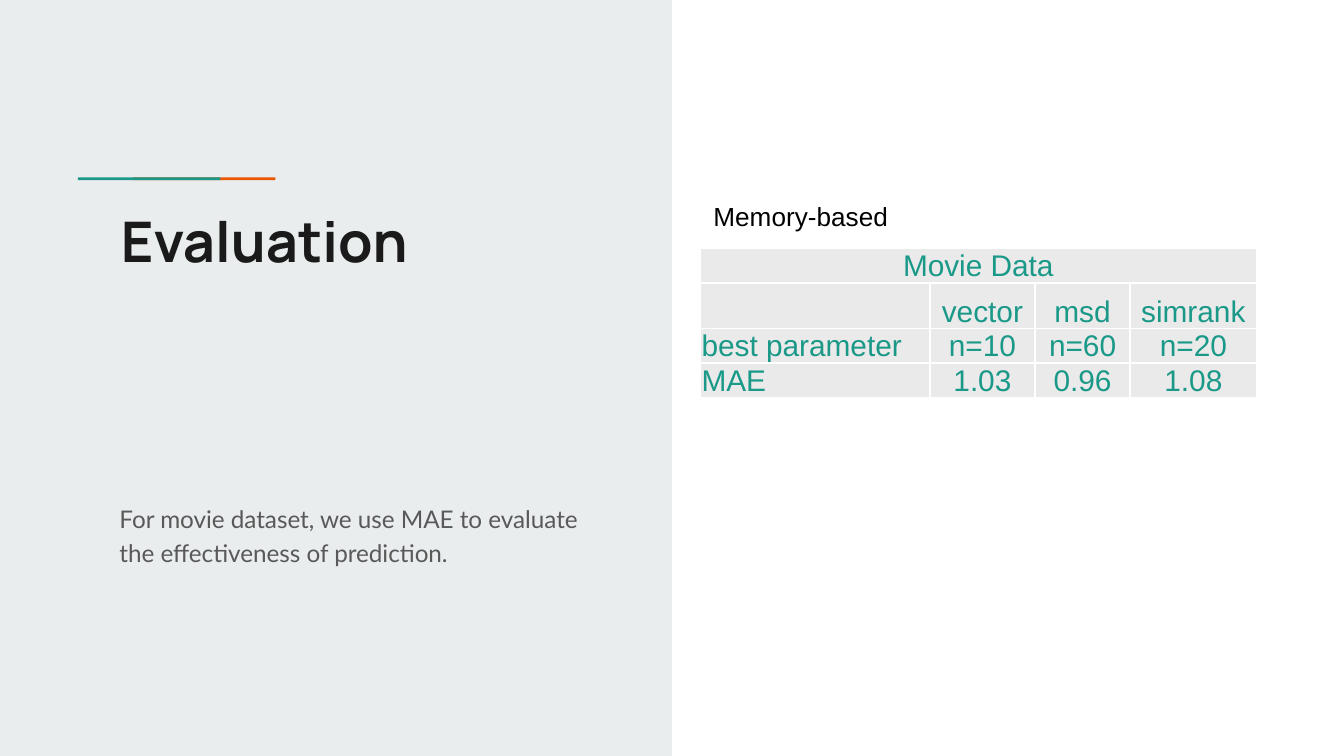
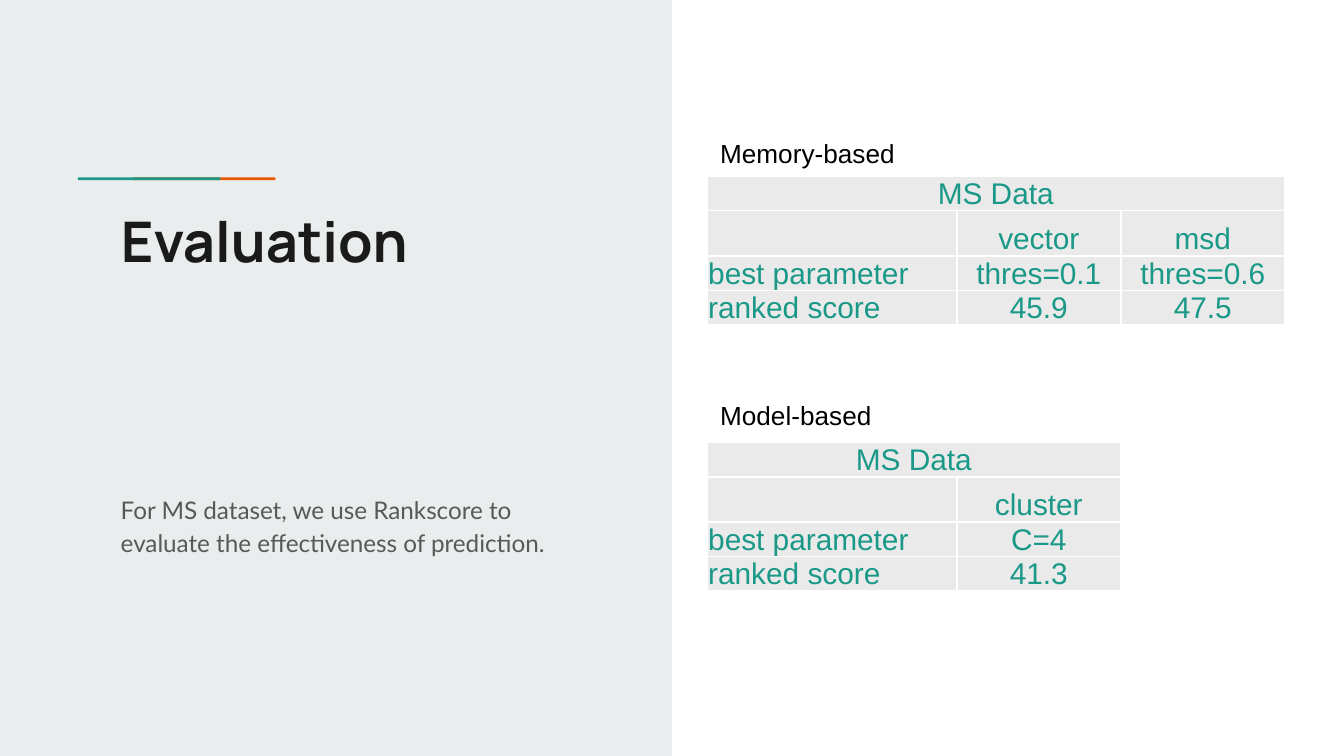
from dataclasses import dataclass

from lxml.etree import SubElement
from pptx import Presentation
from pptx.dml.color import RGBColor
from pptx.enum.shapes import MSO_SHAPE
from pptx.enum.text import MSO_ANCHOR, MSO_AUTO_SIZE, PP_ALIGN
from pptx.oxml.ns import qn
from pptx.util import Inches, Pt


@dataclass(frozen=True)
class Theme:
    panel: str = "E9EDEE"
    teal: str = "1A9988"
    flame: str = "EB5600"
    dark: str = "1A1A1A"
    gray: str = "595959"
    black: str = "000000"
    cell: str = "EAEAEA"
    rule: str = "FFFFFF"
    head: tuple = ("Manrope", 30)
    body: tuple = ("Lato", 13)
    label: tuple = ("Arial", 14)
    grid: tuple = ("Arial", 16)
    blank: int = 14


class Deck:
    def __init__(self, theme):
        self.theme = theme
        self.prs = Presentation()
        self.prs.slide_width = Inches(10)
        self.prs.slide_height = Inches(10) * 9 // 16
        self.slide = None

    def start(self, title):
        look = self.theme
        self.slide = self.prs.slides.add_slide(self.prs.slide_layouts[5])
        self.bar(0, 0, 5, self.prs.slide_height.inches, look.panel)
        self.bar(0.99, 1.32, 1.06, 0.02, look.flame)
        self.bar(0.58, 1.32, 1.06, 0.02, look.teal)
        head = self.slide.shapes.title
        self.slide.shapes.element.append(head.element)
        self.place(head, 0.8, 1.44, 3.61, 1.85)
        para = self.frame(head, 0.1)
        self.run(para, title, look.head, look.dark, True)

    def bar(self, x, y, w, h, color):
        box = self.slide.shapes.add_shape(
            MSO_SHAPE.RECTANGLE, Inches(x), Inches(y), Inches(w), Inches(h))
        box.shadow.inherit = False
        box.fill.solid()
        box.fill.fore_color.rgb = RGBColor.from_string(color)
        box.line.fill.background()

    def place(self, shape, x, y, w, h):
        shape.left, shape.top = Inches(x), Inches(y)
        shape.width, shape.height = Inches(w), Inches(h)

    def frame(self, shape, pad, fit=MSO_AUTO_SIZE.NONE):
        frame = shape.text_frame
        frame.word_wrap = True
        frame.auto_size = fit
        frame.vertical_anchor = MSO_ANCHOR.TOP
        frame.margin_left = frame.margin_right = Inches(0.1)
        frame.margin_top = frame.margin_bottom = Inches(pad)
        para = frame.paragraphs[0]
        para.alignment = PP_ALIGN.LEFT
        return para

    def run(self, para, text, type_face, color, bold=False):
        run = para.add_run()
        run.text = text
        run.font.name, size = type_face
        run.font.size = Pt(size)
        run.font.bold = bold
        run.font.color.rgb = RGBColor.from_string(color)

    def note(self, x, y, text):
        box = self.slide.shapes.add_textbox(
            Inches(x), Inches(y), Inches(3.61), Inches(0.83))
        para = self.frame(box, 0.1)
        para.line_spacing = 1.15
        para.space_after = Pt(10)
        self.run(para, text, self.theme.body, self.theme.gray)

    def label(self, x, y, text):
        box = self.slide.shapes.add_textbox(
            Inches(x), Inches(y), Inches(2.1), Inches(0.34))
        para = self.frame(box, 0.05, MSO_AUTO_SIZE.SHAPE_TO_FIT_TEXT)
        self.run(para, text, self.theme.label, self.theme.black)

    def table(self, x, y, cols, rows, top=0.22):
        highs = (top, 0.22, 0.22, 0.24)
        shape = self.slide.shapes.add_table(
            len(rows), len(cols), Inches(x), Inches(y),
            Inches(sum(cols)), Inches(1.12))
        grid = shape.table
        grid.first_row = grid.horz_banding = False
        for col, wide in zip(grid.columns, cols):
            col.width = Inches(wide)
        for row, high in zip(grid.rows, highs):
            row.height = Inches(high)
        shape.height = Inches(1.12)
        grid.cell(0, 0).merge(grid.cell(0, len(cols) - 1))
        for r, row in enumerate(rows):
            for c in range(len(cols)):
                text = row[c] if c < len(row) else ""
                self.cell(grid.cell(r, c), text, r == 0 or c > 0)

    def cell(self, cell, text, center):
        look = self.theme
        props = cell._tc.get_or_add_tcPr()
        for side in ("L", "R", "T", "B"):
            line = SubElement(props, qn(f"a:ln{side}"), w=str(Pt(1)))
            fill = SubElement(line, qn("a:solidFill"))
            SubElement(fill, qn("a:srgbClr"), val=look.rule)
        cell.fill.solid()
        cell.fill.fore_color.rgb = RGBColor.from_string(look.cell)
        para = cell.text_frame.paragraphs[0]
        if not text:
            SubElement(para._p, qn("a:endParaRPr"), sz=str(look.blank * 100))
            return
        cell.vertical_anchor = MSO_ANCHOR.BOTTOM
        cell.margin_left = cell.margin_right = cell.margin_top = Inches(0.01)
        cell.margin_bottom = 0
        para.alignment = PP_ALIGN.CENTER if center else PP_ALIGN.LEFT
        self.run(para, text, look.grid, look.teal)

    def save(self):
        self.prs.save("out.pptx")


def main():
    deck = Deck(Theme())

    deck.start("Evaluation")
    deck.note(0.79, 3.62, "For movie dataset, we use MAE to evaluate "
                          "the effectiveness of prediction.")
    deck.table(5.21, 1.85, (1.71, 0.78, 0.71, 0.94), (
        ("Movie Data",),
        ("", "vector", "msd", "simrank"),
        ("best parameter", "n=10", "n=60", "n=20"),
        ("MAE", "1.03", "0.96", "1.08")), 0.16)
    deck.label(5.21, 1.44, "Memory-based")

    deck.start("Evaluation")
    deck.note(0.8, 3.55, "For MS dataset, we use Rankscore to evaluate "
                         "the effectiveness of prediction.")
    deck.table(5.26, 1.31, (1.86, 1.22, 1.22), (
        ("MS Data",),
        ("", "vector", "msd"),
        ("best parameter", "thres=0.1", "thres=0.6"),
        ("ranked score", "45.9", "47.5")))
    deck.table(5.26, 3.29, (1.86, 1.22), (
        ("MS Data",),
        ("", "cluster"),
        ("best parameter", "C=4"),
        ("ranked score", "41.3")))
    deck.label(5.26, 0.97, "Memory-based")
    deck.label(5.26, 2.92, "Model-based")

    deck.save()


if __name__ == "__main__":
    main()
